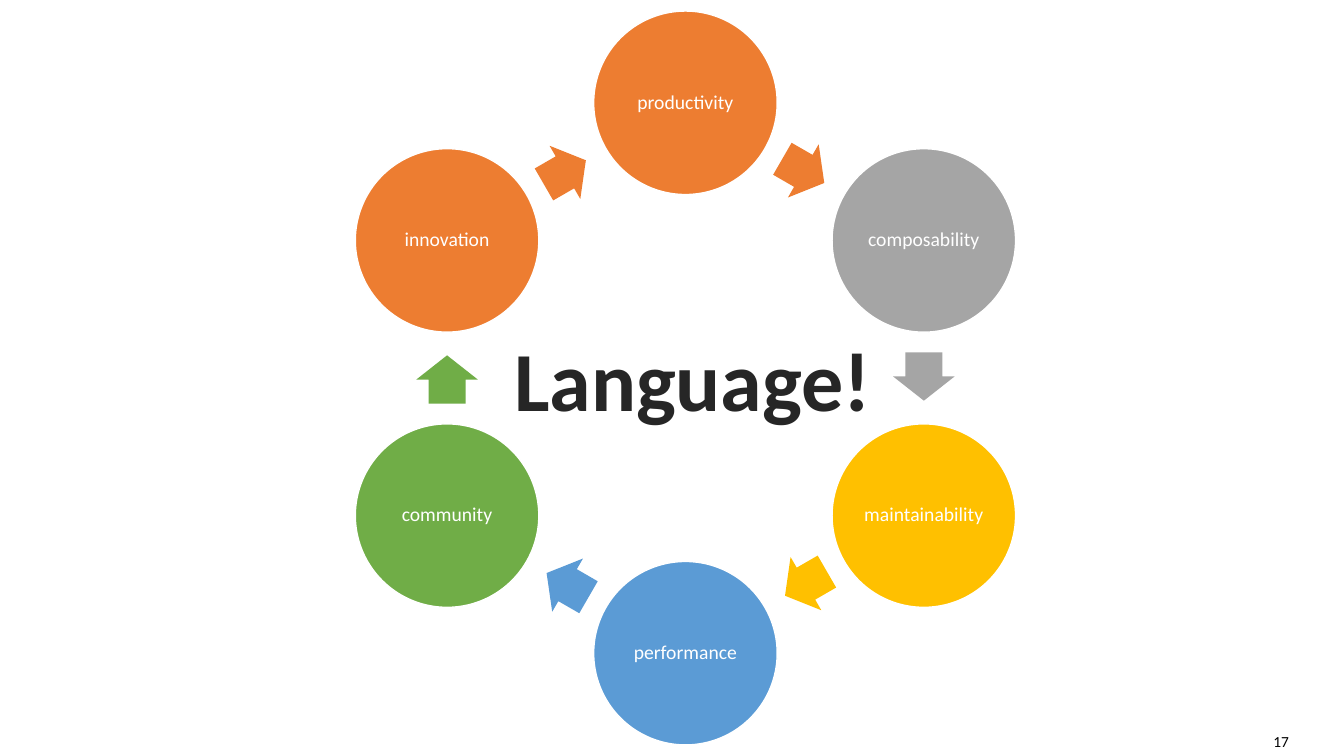
from math import cos, radians, sin
from lxml.etree import SubElement
from pptx import Presentation
from pptx.dml.color import RGBColor
from pptx.enum.shapes import MSO_SHAPE
from pptx.enum.text import MSO_ANCHOR, PP_ALIGN
from pptx.oxml.ns import qn
from pptx.util import Inches, Pt


def paint(target, color):
    target.solid()
    target.fore_color.rgb = RGBColor.from_string(color)


def write(frame, text, size, color, align=PP_ALIGN.CENTER):
    frame.vertical_anchor = MSO_ANCHOR.MIDDLE
    paragraph = frame.paragraphs[0]
    paragraph.alignment = align
    run = paragraph.add_run()
    run.text = text
    run.font.name = "Calibri"
    run.font.size = Pt(size)
    paint(run.font.fill, color)
    return run


deck = Presentation()
deck.slide_width, deck.slide_height = Inches(13.33), Inches(7.5)
slide = deck.slides.add_slide(deck.slide_layouts[6])
shapes = slide.shapes

center_x, center_y = 0.51 * 13.33, 0.5 * 7.5
ring_radius = 2.73
circle_size = 1.82
arrow_length, arrow_width = 0.48, 0.61
arrow_setback = 0.015

qualities = [
    ("productivity", "ED7D31"),
    ("composability", "A5A5A5"),
    ("maintainability", "FFC000"),
    ("performance", "5B9BD5"),
    ("community", "70AD47"),
    ("innovation", "ED7D31"),
]
step = 360 / len(qualities)
arrow_radius = ring_radius * cos(radians(step / 2))

for index, (quality, color) in enumerate(qualities):
    angle = radians(index * step - 90)
    x = center_x + ring_radius * cos(angle)
    y = center_y + ring_radius * sin(angle)
    circle = shapes.add_shape(
        MSO_SHAPE.OVAL, Inches(x - circle_size / 2), Inches(y - circle_size / 2),
        Inches(circle_size), Inches(circle_size))
    circle.shadow.inherit = False
    paint(circle.fill, color)
    paint(circle.line.fill, "FFFFFF")
    circle.line.width = Pt(1)
    label = circle.text_frame
    label.word_wrap = True
    label.margin_left = label.margin_right = Inches(0.02)
    label.margin_top = label.margin_bottom = Inches(0.02)
    write(label, quality, 14, "FFFFFF")
    label.paragraphs[0].line_spacing = 0.9

    heading = (index + 0.5) * step
    outward, forward = radians(heading - 90), radians(heading)
    x = center_x + arrow_radius * cos(outward) - arrow_setback * cos(forward)
    y = center_y + arrow_radius * sin(outward) - arrow_setback * sin(forward)
    arrow = shapes.add_shape(
        MSO_SHAPE.RIGHT_ARROW, Inches(x - arrow_length / 2), Inches(y - arrow_width / 2),
        Inches(arrow_length), Inches(arrow_width))
    arrow.shadow.inherit = False
    arrow.rotation = heading
    arrow.adjustments[0], arrow.adjustments[1] = 0.6, 0.5
    paint(arrow.fill, color)
    arrow.line.fill.background()

theme = shapes.add_textbox(Inches(4.98), Inches(3.19), Inches(3.78), Inches(1.11))
theme.text_frame.word_wrap = False
theme_run = write(theme.text_frame, "Language!", 60, "262626")
theme_run.font.bold = True
properties = theme_run._r.get_or_add_rPr()
outline = SubElement(properties, qn("a:ln"), w=str(Pt(1.06)))
outline_fill = SubElement(outline, qn("a:solidFill"))
SubElement(outline_fill, qn("a:srgbClr"), val="FFFFFF")
properties.insert(0, outline)

page_number = shapes.add_textbox(Inches(12.53), Inches(7.21), Inches(0.38), Inches(0.29))
page_number.text_frame.word_wrap = False
write(page_number.text_frame, "17", 11, "000000", PP_ALIGN.LEFT)

deck.save("out.pptx")
